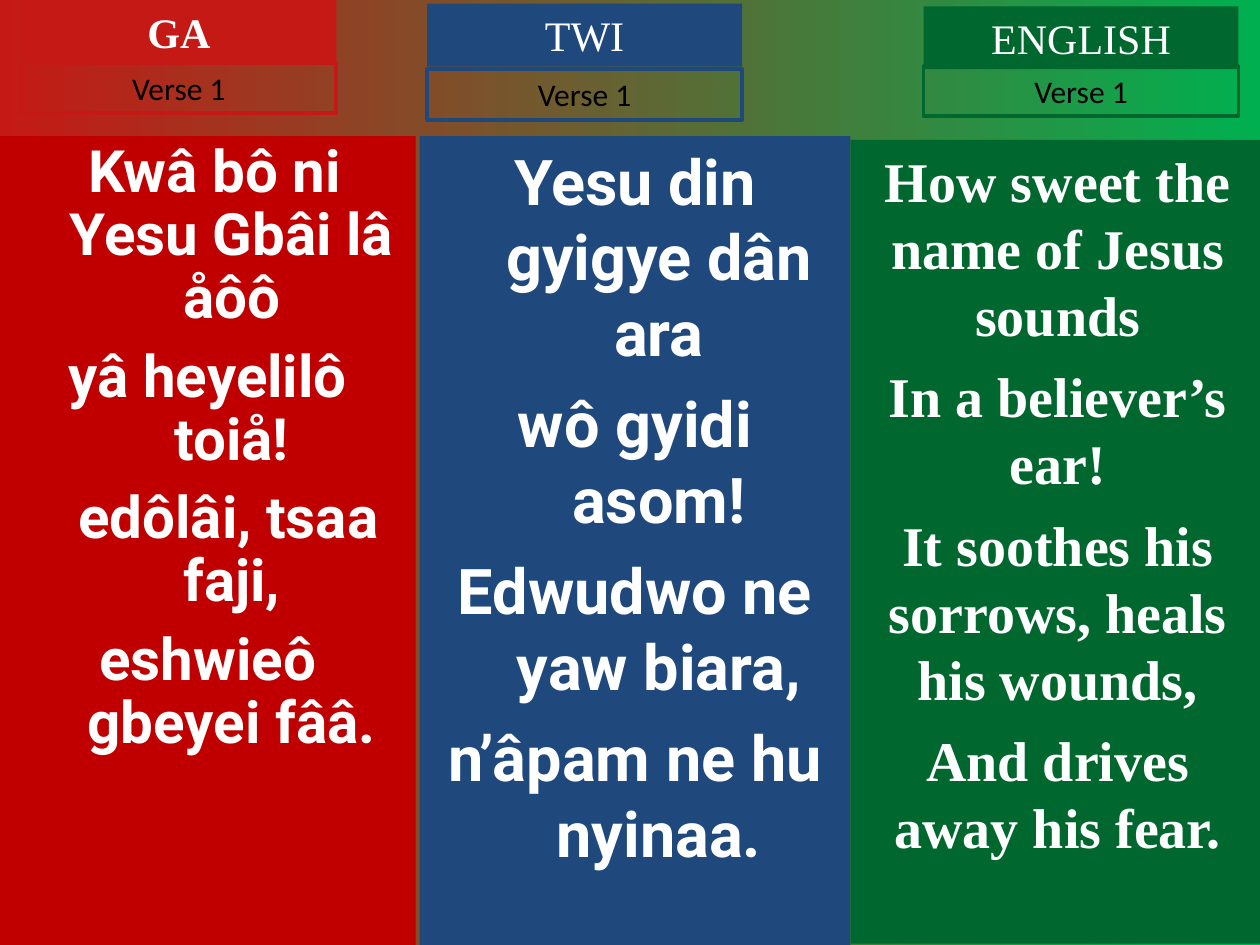
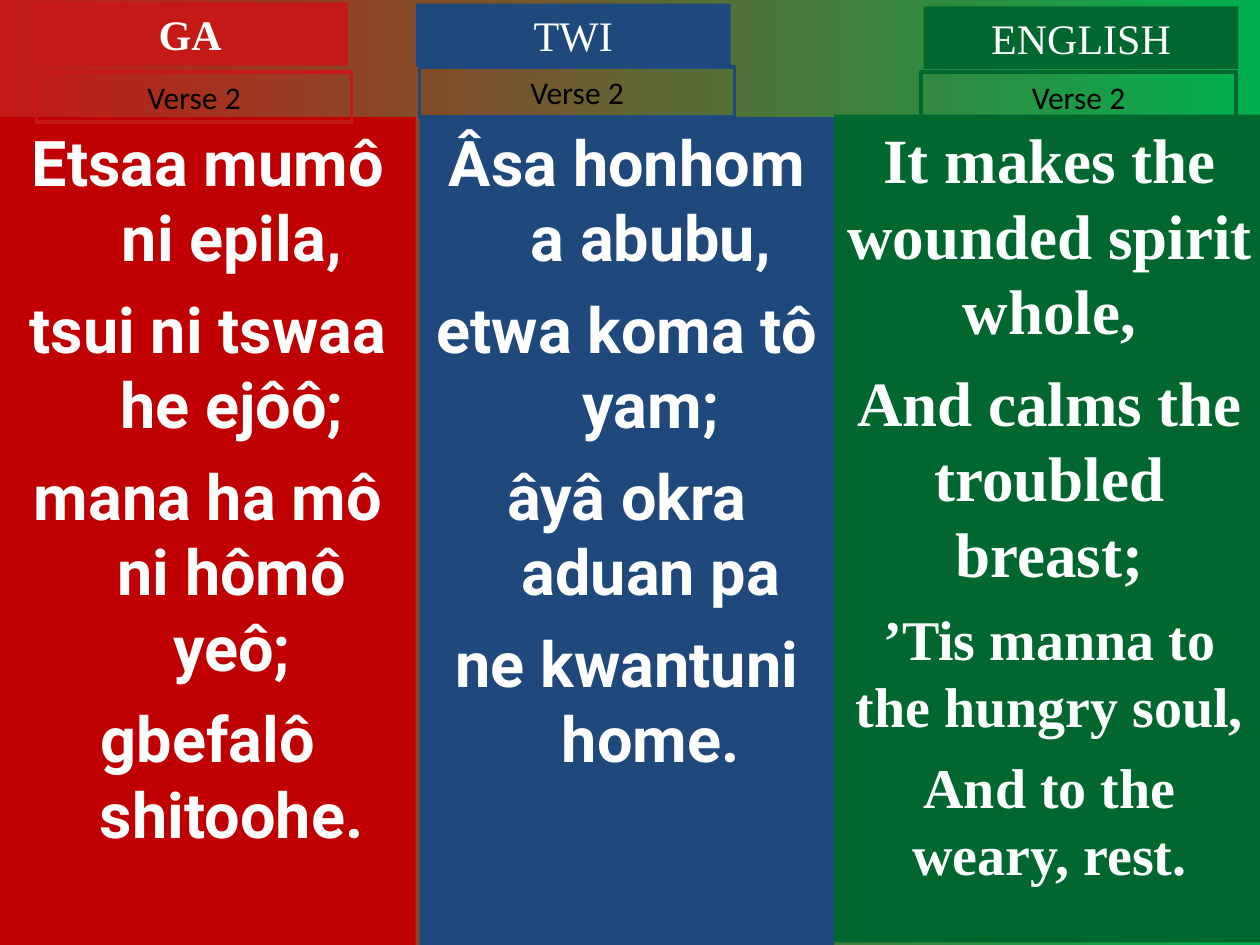
from pptx import Presentation
from pptx.dml.color import RGBColor
from pptx.enum import shapes, text
from pptx.util import Inches, Pt

COLOURS = {
    "ga_panel": "C00000", "ga_label": "C51915",
    "twi": "1F497D", "english": "00682F",
    "backdrop_end": "00B050", "white": "FFFFFF", "black": "000000",
}
SERIF, SANS, LYRIC = "Times New Roman", "Calibri", "Roboto"
LABEL_WIDTH, TITLE_HEIGHT, VERSE_HEIGHT = 2.5, 0.5, 0.4
HANGING = 0.38

# Language: title, panel colour, label colour, lyric font, bold title, hanging indent
LANGUAGES = [
    ("GA", "ga_panel", "ga_label", LYRIC, True, HANGING),
    ("TWI", "twi", "twi", LYRIC, False, HANGING),
    ("ENGLISH", "english", "english", SERIF, False, 0),
]

# Each column: panel box, title corner, verse corner, line spacing, lyric lines.
# A lyric line is (words, size, space before, extra first-line indent).
VERSES = [
    ("Verse 1", [
        ((0, 1.08, 3.3, 6.42), (0.17, 0), (0.17, 0.5), 0.9, [
            ("Kwâ bô ni Yesu Gbâi lâ åôô", 33.3, 9, 0.11),
            ("yâ heyelilô toiå!", 33.3, 9, 0),
            ("edôlâi, tsaa faji,", 33.3, 9, 0.33),
            ("eshwieô gbeyei fââ.", 33.3, 9, 0)]),
        ((3.33, 1.08, 3.42, 6.42), (3.39, 0.03), (3.39, 0.55), None, [
            ("Yesu din gyigye dân ara", 36, 9, 0),
            ("wô gyidi asom!", 36, 9, 0),
            ("Edwudwo ne yaw biara,", 36, 9, 0),
            ("n’âpam ne hu nyinaa.", 36, 9, 0)]),
        ((6.75, 1.11, 3.29, 6.38), (7.33, 0.05), (7.33, 0.52), None, [
            ("How sweet the name of Jesus sounds", 32, 8, 0),
            ("In a believer’s ear!", 32, 8, 0),
            ("It soothes his sorrows, heals his wounds,", 32, 8, 0),
            ("And drives away his fear.", 32, 8, 0)]),
    ]),
    ("Verse 2", [
        ((0, 0.93, 3.3, 6.57), (0.26, 0.02), (0.29, 0.57), None, [
            ("Etsaa mumô ni epila,", 36, 9, 0),
            ("tsui ni tswaa he ejôô;", 36, 9, 0),
            ("mana ha mô ni hômô yeô;", 36, 9, 0),
            ("gbefalô shitoohe.", 36, 9, 0)]),
        ((3.33, 0.93, 3.29, 6.57), (3.3, 0.03), (3.33, 0.53), None, [
            ("Âsa honhom a abubu,", 36, 9, 0),
            ("etwa koma tô yam;", 36, 9, 0),
            ("âyâ okra aduan pa", 36, 9, 0),
            ("ne kwantuni home.", 36, 9, 0)]),
        ((6.62, 0.91, 3.42, 6.57), (7.33, 0.05), (7.31, 0.57), None, [
            ("It makes the wounded spirit whole,", 36, 9, 0),
            ("And calms the troubled breast;", 36, 9, 0),
            ("’Tis manna to the hungry soul,", 32, 8, 0),
            ("And to the weary, rest.", 32, 8, 0)]),
    ]),
]


def rgb(name):
    return RGBColor.from_string(COLOURS[name])


def add_backdrop(slide):
    fill = slide.background.fill
    fill.gradient()
    fill.gradient_angle = 0
    for stop, position, colour in zip(fill.gradient_stops, (0, 1),
                                      ("ga_label", "backdrop_end")):
        stop.position = position
        stop.color.rgb = rgb(colour)


def add_box(slide, place, fill=None, outline=None):
    box = slide.shapes.add_shape(shapes.MSO_SHAPE.RECTANGLE,
                                 *(Inches(length) for length in place))
    box.shadow.inherit = False
    if fill:
        box.fill.solid()
        box.fill.fore_color.rgb = rgb(fill)
    else:
        box.fill.background()
    if outline:
        box.line.color.rgb = rgb(outline)
        box.line.width = Pt(2.25)
    else:
        box.line.fill.background()
    box.text_frame.word_wrap = True
    box.text_frame.vertical_anchor = text.MSO_ANCHOR.TOP
    return box


def add_words(paragraph, words, size, font, colour, bold=False):
    paragraph.alignment = text.PP_ALIGN.CENTER
    run = paragraph.add_run()
    run.text = words
    run.font.size, run.font.name, run.font.bold = Pt(size), font, bold
    run.font.color.rgb = rgb(colour)


def add_label(slide, place, words, size, font, colour, bold=False, **paint):
    frame = add_box(slide, place, **paint).text_frame
    frame.auto_size = text.MSO_AUTO_SIZE.SHAPE_TO_FIT_TEXT
    add_words(frame.paragraphs[0], words, size, font, colour, bold)


def add_lyrics(slide, place, colour, font, hanging, spacing, lines):
    frame = add_box(slide, place, fill=colour).text_frame
    for number, (words, size, before, extra) in enumerate(lines):
        paragraph = frame.add_paragraph() if number else frame.paragraphs[0]
        if number:
            paragraph.space_before = Pt(before)
        if spacing:
            paragraph.line_spacing = spacing
        if hanging:
            properties = paragraph._p.get_or_add_pPr()
            properties.set("marL", str(Inches(hanging)))
            properties.set("indent", str(Inches(extra - hanging)))
        add_words(paragraph, words, size, font, "white", bold=True)


def add_column(slide, verse, language, column):
    title, panel_colour, label_colour, font, bold, hanging = language
    panel, title_corner, verse_corner, spacing, lines = column
    add_lyrics(slide, panel, panel_colour, font, hanging, spacing, lines)
    add_label(slide, (*title_corner, LABEL_WIDTH, TITLE_HEIGHT), title,
              24, SERIF, "white", bold, fill=label_colour)
    add_label(slide, (*verse_corner, LABEL_WIDTH, VERSE_HEIGHT), verse,
              18, SANS, "black", outline=label_colour)


def main():
    hymn = Presentation()
    hymn.slide_width, hymn.slide_height = Inches(10), Inches(7.5)
    for verse, columns in VERSES:
        slide = hymn.slides.add_slide(hymn.slide_layouts[6])
        add_backdrop(slide)
        for language, column in zip(LANGUAGES, columns):
            add_column(slide, verse, language, column)
    hymn.save("out.pptx")


if __name__ == "__main__":
    main()
